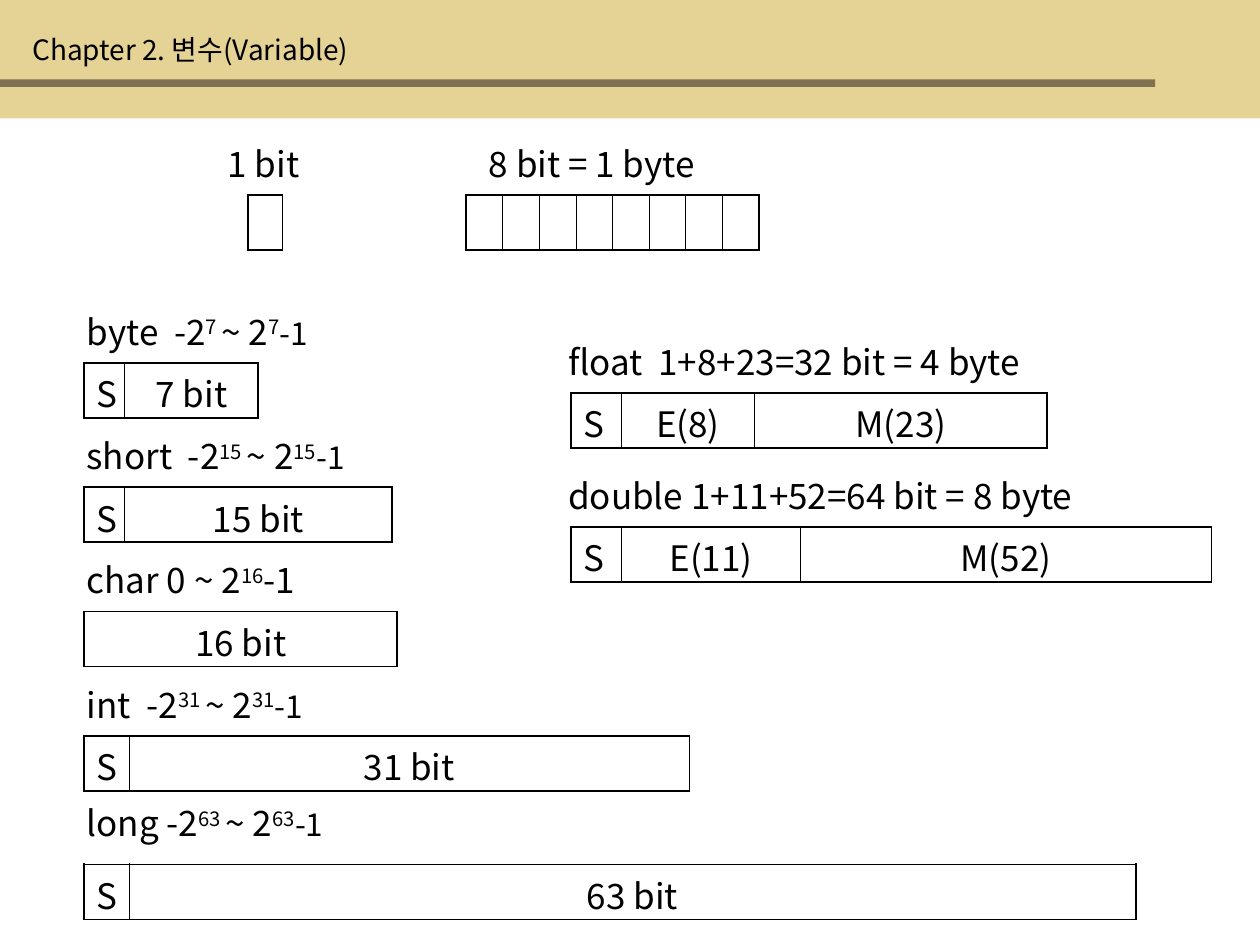
from lxml import etree
from pptx import Presentation
from pptx.dml.color import RGBColor
from pptx.enum import shapes, text
from pptx.oxml import ns
from pptx.util import Pt

THEME = {
    "font": "Noto Sans CJK KR",
    "ink": "000000", "band": "E4D394", "rule": "817051",
    "title": 16, "body": 20, "tail": 18,
    "outer": 1.08, "inner": 0.45,
}
LEFT, CENTER = text.PP_ALIGN.LEFT, text.PP_ALIGN.CENTER
ROW_HEIGHT, LABEL_HEIGHT, LABEL_LIFT = 31.4, 31.7, 33.9
INTEGER_LEFT, INTEGER_TOP, INTEGER_PITCH = 48.2, 207.4, 71
REAL_LEFT = 326.2


def plain(words):
    return [(words, "body", False)]


def signed_range(prefix, power):
    return [(prefix, "body", False), (f"{power} ", "body", True),
            ("~ 2", "body", False), (power, "body", True),
            ("-1", "tail", False)]


BANDS = [((0, 0, 720, 67.7), "band"), ((0, 45.4, 660.2, 4.3), "rule")]
TITLE = [("Chapter 2. 변수(Variable)", "title", False)]
CHAR_RANGE = [("char 0 ~ 2", "body", False), ("16", "body", True), ("-1", "body", False)]

INTEGERS = [
    (signed_range("byte  -2", "7"), [("S", 23), ("7 bit", 76.4)]),
    (signed_range("short  -2", "15"), [("S", 23), ("15 bit", 153)]),
    (CHAR_RANGE, [("16 bit", 178.8)]),
    (signed_range("int  -2", "31"), [("S", 25.5), ("31 bit", 320.4)]),
]
LONG = (signed_range("long -2", "63"), [("S", 25.5), ("63 bit", 575.5)])

DIAGRAMS = [
    {"label": plain("1 bit"), "cells": [("", 19.8)], "at": (141.7, 111.4),
     "shift": -42.3, "width": 102.2, "align": CENTER},
    {"label": plain("8 bit = 1 byte"), "cells": [("", 20.9)] * 8, "at": (266.4, 111.4),
     "shift": 5.8, "width": 161.3},
    {"label": plain("float  1+8+23=32 bit = 4 byte"),
     "cells": [("S", 28.8), ("E(8)", 76.2), ("M(23)", 167.2)], "at": (REAL_LEFT, 224.4),
     "shift": -8.6, "width": 323.3},
    {"label": plain("double 1+11+52=64 bit = 8 byte"),
     "cells": [("S", 28.8), ("E(11)", 102.6), ("M(52)", 234.6)], "at": (REAL_LEFT, 301),
     "shift": -8.6, "width": 342.7},
]
for row, (label, cells) in enumerate(INTEGERS):
    DIAGRAMS.append({"label": label, "cells": cells,
                     "at": (INTEGER_LEFT, INTEGER_TOP + row * INTEGER_PITCH)})
DIAGRAMS.append({"label": LONG[0], "cells": LONG[1], "at": (INTEGER_LEFT, 493.9), "lift": 39.6})


def apply(target, formats):
    for name, value in formats.items():
        setattr(target, name, value)


def write(paragraph, runs, align):
    paragraph.alignment = align
    for words, size, raised in runs:
        run = paragraph.add_run()
        apply(run, {"text": words})
        apply(run.font, {"size": Pt(THEME[size]), "name": THEME["font"]})
        run.font.color.rgb = RGBColor.from_string(THEME["ink"])
        properties = run._r.get_or_add_rPr()
        etree.SubElement(properties, ns.qn("a:ea"), typeface=THEME["font"])
        if raised:
            properties.set("baseline", "30000")


def add_label(slide, place, runs, align=LEFT):
    frame = slide.shapes.add_textbox(*map(Pt, place)).text_frame
    apply(frame, {"word_wrap": True, "vertical_anchor": text.MSO_ANCHOR.MIDDLE,
                  "auto_size": text.MSO_AUTO_SIZE.NONE})
    write(frame.paragraphs[0], runs, align)


def border(cell, side, weight):
    line = etree.Element(ns.qn(f"a:ln{side}"), w=str(Pt(THEME[weight])))
    fill = etree.SubElement(line, ns.qn("a:solidFill"))
    etree.SubElement(fill, ns.qn("a:srgbClr"), val=THEME["ink"])
    cell._tc.get_or_add_tcPr().append(line)


def add_cells(slide, at, cells):
    total = sum(width for _, width in cells)
    table = slide.shapes.add_table(
        1, len(cells), *map(Pt, (*at, total, ROW_HEIGHT))).table
    apply(table, {"first_row": False, "horz_banding": False})
    last = len(cells) - 1
    for index, (words, width) in enumerate(cells):
        table.columns[index].width = Pt(width)
        cell = table.cell(0, index)
        apply(cell, {"margin_top": Pt(2.4), "margin_bottom": 0})
        border(cell, "L", "inner" if index else "outer")
        border(cell, "R", "inner" if index < last else "outer")
        border(cell, "T", "outer")
        border(cell, "B", "outer")
        cell.fill.background()
        if words:
            write(cell.text_frame.paragraphs[0], plain(words), LEFT if words == "S" else CENTER)


def main():
    deck = Presentation()
    apply(deck, {"slide_width": Pt(720), "slide_height": Pt(540)})
    slide = deck.slides.add_slide(deck.slide_layouts[6])
    for place, color in BANDS:
        band = slide.shapes.add_shape(shapes.MSO_SHAPE.RECTANGLE, *map(Pt, place))
        band.shadow.inherit = False
        band.fill.solid()
        band.fill.fore_color.rgb = RGBColor.from_string(THEME[color])
        band.line.fill.background()
    add_label(slide, (11.5, 15.1, 285.8, 26.6), TITLE)
    for diagram in DIAGRAMS:
        left, top = diagram["at"]
        add_cells(slide, (left, top), diagram["cells"])
        place = (left + diagram.get("shift", -5.8), top - diagram.get("lift", LABEL_LIFT),
                 diagram.get("width", 204.5), LABEL_HEIGHT)
        add_label(slide, place, diagram["label"], diagram.get("align", LEFT))
    deck.save("out.pptx")


if __name__ == "__main__":
    main()
